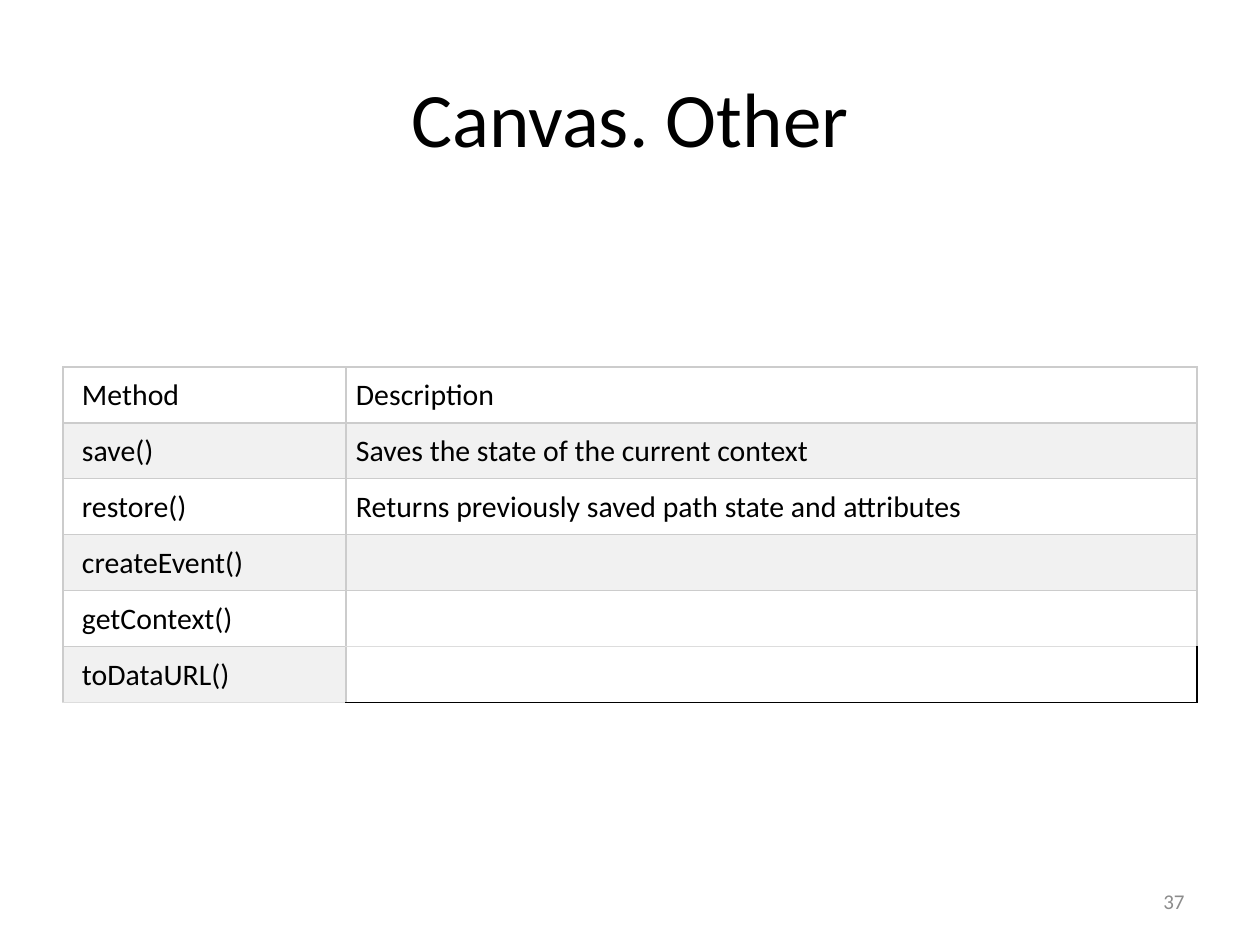
from dataclasses import dataclass
from typing import Optional

from lxml.etree import SubElement
from pptx import Presentation
from pptx.dml.color import RGBColor
from pptx.enum.text import MSO_ANCHOR as Anchor, PP_ALIGN as Align
from pptx.oxml.ns import qn
from pptx.util import Emu, Pt

PX = 914400 / 126
FONT = "Calibri"
BLACK = RGBColor(0x00, 0x00, 0x00)
WHITE = RGBColor(0xFF, 0xFF, 0xFF)
STRIPE = RGBColor(0xF1, 0xF1, 0xF1)
GRID = RGBColor(0xCC, 0xCC, 0xCC)
PALE_GRID = RGBColor(0xDD, 0xDD, 0xDD)
NUMBER_GRAY = RGBColor(0x8C, 0x8C, 0x8C)

COLUMN_WIDTHS = (283, 851)
LEFT_MARGINS = (19, 10)
ROW_HEIGHT = 56


@dataclass(frozen=True)
class Edges:
    left: RGBColor = GRID
    right: RGBColor = GRID
    top: RGBColor = GRID
    bottom: RGBColor = GRID


@dataclass(frozen=True)
class Entry:
    text: str
    fill: Optional[RGBColor]
    edges: Edges = Edges()


@dataclass(frozen=True)
class Method:
    name: Entry
    description: Entry


METHODS = (
    Method(Entry("Method", WHITE), Entry("Description", WHITE)),
    Method(Entry("save()", STRIPE), Entry("Saves the state of the current context", STRIPE)),
    Method(
        Entry("restore()", WHITE),
        Entry("Returns previously saved path state and attributes", WHITE),
    ),
    Method(Entry("createEvent()", STRIPE), Entry("", STRIPE)),
    Method(Entry("getContext()", WHITE), Entry("", WHITE, Edges(bottom=PALE_GRID))),
    Method(
        Entry("toDataURL()", STRIPE, Edges(bottom=PALE_GRID)),
        Entry("", None, Edges(right=BLACK, top=PALE_GRID, bottom=BLACK)),
    ),
)


def px(length: int) -> Emu:
    return Emu(round(length * PX))


def place(shape, left: int, top: int, width: int, height: int) -> None:
    shape.left, shape.top = px(left), px(top)
    shape.width, shape.height = px(width), px(height)


def write(paragraph, text: str, size: float, color: RGBColor) -> None:
    run = paragraph.add_run()
    run.text = text
    run.font.name = FONT
    run.font.size = Pt(size)
    run.font.color.rgb = color


def draw_edges(cell, edges: Edges) -> None:
    properties = cell._tc.get_or_add_tcPr()
    for tag, color in (
        ("a:lnL", edges.left),
        ("a:lnR", edges.right),
        ("a:lnT", edges.top),
        ("a:lnB", edges.bottom),
    ):
        width = Pt(1) if color == BLACK else Pt(0.75)
        line = SubElement(properties, qn(tag), w=str(int(width)))
        solid = SubElement(line, qn("a:solidFill"))
        SubElement(solid, qn("a:srgbClr"), val=str(color))


def draw_entry(cell, entry: Entry, left_margin: int) -> None:
    cell.margin_left = px(left_margin)
    cell.margin_top = cell.margin_right = px(10)
    cell.margin_bottom = px(9)
    draw_edges(cell, entry.edges)
    if entry.fill is None:
        cell.fill.background()
    else:
        cell.fill.solid()
        cell.fill.fore_color.rgb = entry.fill
    if entry.text:
        write(cell.text_frame.paragraphs[0], entry.text, 17, BLACK)
    else:
        cell.text_frame.paragraphs[0].font.size = Pt(17)


def draw_methods(slide) -> None:
    methods = slide.shapes.add_table(
        len(METHODS), len(COLUMN_WIDTHS), px(63), px(367),
        px(sum(COLUMN_WIDTHS)), px(ROW_HEIGHT * len(METHODS)),
    ).table
    methods.first_row = methods.horz_banding = False
    for column, width in zip(methods.columns, COLUMN_WIDTHS):
        column.width = px(width)
    for row, method in zip(methods.rows, METHODS):
        row.height = px(ROW_HEIGHT)
        entries = (method.name, method.description)
        for cell, entry, margin in zip(row.cells, entries, LEFT_MARGINS):
            draw_entry(cell, entry, margin)


def draw_title(slide) -> None:
    title = slide.shapes.title
    place(title, 63, 38, 1134, 157)
    title.text_frame.vertical_anchor = Anchor.MIDDLE
    heading = title.text_frame.paragraphs[0]
    heading.alignment = Align.CENTER
    write(heading, "Canvas. Other", 44, BLACK)


def draw_page_number(slide) -> None:
    page_number = slide.shapes.add_textbox(px(903), px(876), px(294), px(50))
    page_number.text_frame.word_wrap = True
    page_number.text_frame.vertical_anchor = Anchor.MIDDLE
    number = page_number.text_frame.paragraphs[0]
    number.alignment = Align.RIGHT
    write(number, "37", 12, NUMBER_GRAY)


def main() -> None:
    deck = Presentation()
    deck.slide_width, deck.slide_height = px(1260), px(945)
    slide = deck.slides.add_slide(deck.slide_layouts[5])
    draw_title(slide)
    draw_page_number(slide)
    draw_methods(slide)
    deck.save("out.pptx")


if __name__ == "__main__":
    main()
